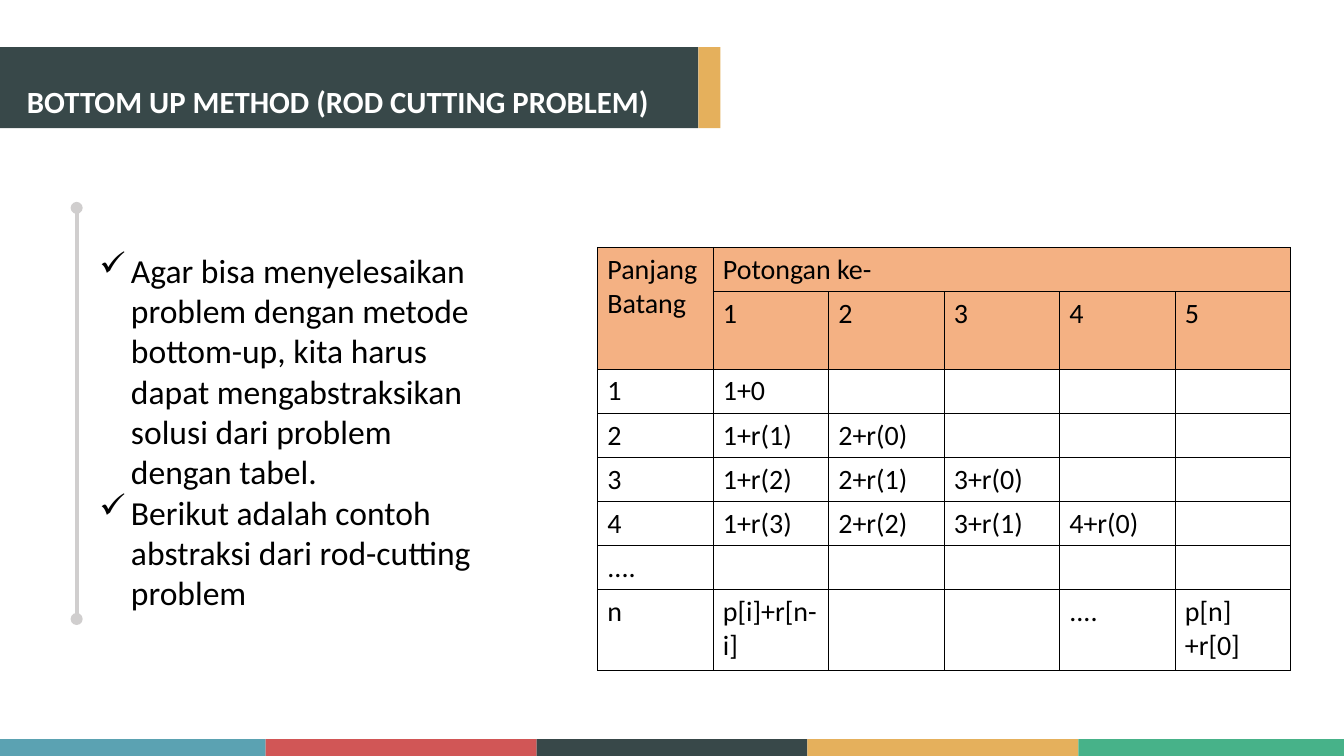
from lxml import etree
from pptx import Presentation
from pptx.dml.color import RGBColor
from pptx.enum.shapes import MSO_CONNECTOR, MSO_SHAPE
from pptx.oxml.ns import qn
from pptx.util import Pt

RECTANGLE = MSO_SHAPE.RECTANGLE
STRAIGHT = MSO_CONNECTOR.STRAIGHT
PX = 9525
THEME = {
    "font": "Calibri", "title": 44, "body": 48, "table": 40,
    "teal": "5BA2B2", "red": "D15656", "slate": "384849",
    "gold": "E5B05C", "green": "47B289", "header": "F4B183",
    "rule": "D0CECE", "black": "000000", "white": "FFFFFF",
}


def style_text(paragraph, size, color, bold=False):
    for run in paragraph.runs:
        run.font.name = THEME["font"]
        run.font.size = Pt(THEME[size])
        run.font.bold = bold
        run.font.color.rgb = RGBColor.from_string(THEME[color])


def add_block(left, top, width, height, color):
    block = slide.shapes.add_shape(RECTANGLE, left * PX, top * PX, width * PX, height * PX)
    block.shadow.inherit = False
    block.fill.solid()
    block.fill.fore_color.rgb = RGBColor.from_string(THEME[color])
    block.line.fill.background()


prs = Presentation()
prs.slide_width = 2560 * PX
prs.slide_height = 1440 * PX
slide = prs.slides.add_slide(prs.slide_layouts[6])

explanation = slide.shapes.add_textbox(180 * PX, 471 * PX, 782 * PX, 708 * PX).text_frame
explanation.word_wrap = True
explanation.text = (
    "Agar bisa menyelesaikan problem dengan metode bottom-up, kita harus dapat "
    "mengabstraksikan solusi dari problem dengan tabel.\n"
    "Berikut adalah contoh abstraksi dari rod-cutting problem"
)
for point in explanation.paragraphs:
    properties = point._p.get_or_add_pPr()
    properties.set("marL", str(60 * PX))
    properties.set("indent", str(-60 * PX))
    etree.SubElement(properties, qn("a:buChar"), char="✓")
    style_text(point, "body", "black")

rows = [
    ["Panjang\nBatang", "Potongan ke-", "", "", "", ""],
    ["", "1", "2", "3", "4", "5"],
    ["1", "1+0", "", "", "", ""],
    ["2", "1+r(1)", "2+r(0)", "", "", ""],
    ["3", "1+r(2)", "2+r(1)", "3+r(0)", "", ""],
    ["4", "1+r(3)", "2+r(2)", "3+r(1)", "4+r(0)", ""],
    ["....", "", "", "", "", ""],
    ["n", "p[i]+r[n-i]", "", "", "....", "p[n]+r[0]"],
]
row_heights = [83, 131, 83, 83, 83, 83, 83, 154]
cuts = slide.shapes.add_table(
    len(rows), 6, 1138 * PX, 471 * PX, 1320 * PX, sum(row_heights) * PX
).table
cuts.first_row = False
cuts.horz_banding = False
for column in cuts.columns:
    column.width = 220 * PX
for r, (row, height) in enumerate(zip(rows, row_heights)):
    cuts.rows[r].height = height * PX
    for c, value in enumerate(row):
        cell = cuts.cell(r, c)
        cell.margin_left = cell.margin_right = 19 * PX
        cell.margin_top = cell.margin_bottom = 10 * PX
        cell.text = value
        for paragraph in cell.text_frame.paragraphs:
            style_text(paragraph, "table", "black")
        for side in ("a:lnL", "a:lnR", "a:lnT", "a:lnB"):
            border = etree.SubElement(cell._tc.get_or_add_tcPr(), qn(side), w=str(Pt(1)))
            border_fill = etree.SubElement(border, qn("a:solidFill"))
            etree.SubElement(border_fill, qn("a:srgbClr"), val=THEME["black"])
        if r < 2:
            cell.fill.solid()
            cell.fill.fore_color.rgb = RGBColor.from_string(THEME["header"])
        else:
            cell.fill.background()
cuts.cell(0, 0).merge(cuts.cell(1, 0))
cuts.cell(0, 1).merge(cuts.cell(0, 5))

left = 0
for color, width in [("teal", 506), ("red", 516), ("slate", 516), ("gold", 516), ("green", 506)]:
    add_block(left, 1408, width, 32, color)
    left += width

add_block(1330, 90, 42, 154, "gold")
add_block(0, 90, 1330, 154, "slate")

title = slide.shapes.add_textbox(42 * PX, 152 * PX, 1287 * PX, 81 * PX).text_frame
title.word_wrap = True
title.text = "BOTTOM UP METHOD (ROD CUTTING PROBLEM)"
style_text(title.paragraphs[0], "title", "white", bold=True)

side_rule = slide.shapes.add_connector(STRAIGHT, 146 * PX, 1179 * PX, 146 * PX, 396 * PX)
side_rule.line.color.rgb = RGBColor.from_string(THEME["rule"])
side_rule.line.width = Pt(5.75)
rule_line = side_rule.line._get_or_add_ln()
for end in ("a:headEnd", "a:tailEnd"):
    etree.SubElement(rule_line, qn(end), type="oval")
etree.SubElement(side_rule._element.spPr, qn("a:effectLst"))

prs.save("out.pptx")
